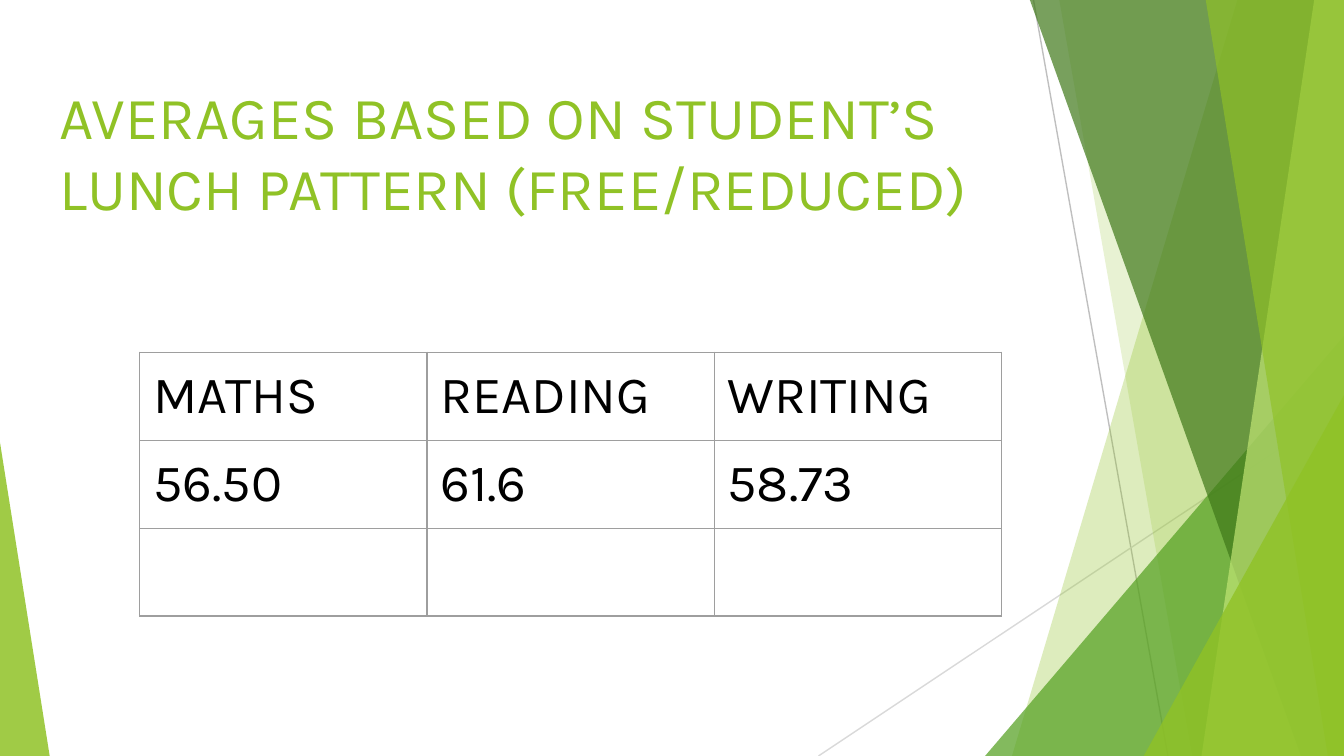
from lxml.etree import SubElement
from pptx import Presentation
from pptx.dml.color import RGBColor
from pptx.enum.shapes import MSO_CONNECTOR, MSO_SHAPE
from pptx.enum.text import MSO_ANCHOR, MSO_AUTO_SIZE, PP_ALIGN
from pptx.oxml import parse_xml
from pptx.oxml.ns import nsdecls, qn
from pptx.util import Inches, Pt

COLORS = {
    "lime": "90C226",
    "pale_lime": "C0E474",
    "green": "54A021",
    "dark_green": "3F7819",
    "gray_line": "BFBFBF",
    "light_line": "D9D9D9",
    "table_line": "9E9E9E",
    "black": "000000",
}
FONT = "Karla"
SLIDE_WIDTH = 10
SLIDE_HEIGHT = SLIDE_WIDTH * 9 / 16
BAND_TOP = -0.01
AVERAGES = [
    ["MATHS", "READING", "WRITING"],
    ["56.50", "61.6", "58.73"],
    ["", "", ""],
]


def rgb(name):
    return RGBColor.from_string(COLORS[name])


def add_text(paragraph, text, size, color):
    run = paragraph.add_run()
    run.text = text
    run.font.name = FONT
    run.font.size = Pt(size)
    run.font.color.rgb = rgb(color)


def set_margins(holder):
    holder.margin_left = holder.margin_right = Inches(0.1)
    holder.margin_top = holder.margin_bottom = Inches(0.1)


def paint(shape, color, opacity):
    """Fill a shape with a see-through colour, without outline or shadow."""
    shape.shadow.inherit = False
    shape.line.fill.background()
    shape.fill.solid()
    shape.fill.fore_color.rgb = rgb(color)
    color_element = shape.fill._xPr.find(".//" + qn("a:srgbClr"))
    SubElement(color_element, qn("a:alpha"), val=str(opacity * 1000))


def add_thin_line(slide, start, end, color):
    points = [Inches(value) for value in (*start, *end)]
    line = slide.shapes.add_connector(MSO_CONNECTOR.STRAIGHT, *points)
    line.line.color.rgb = rgb(color)
    line.line.width = Pt(0.75)
    SubElement(line._element.spPr, qn("a:effectLst"))


def add_band(slide, top_x, bottom_x, color, opacity):
    """Add a full-height band from a slanted left edge to the slide's right edge."""
    corners = [
        (SLIDE_WIDTH, BAND_TOP),
        (SLIDE_WIDTH, SLIDE_HEIGHT),
        (bottom_x, SLIDE_HEIGHT),
    ]
    builder = slide.shapes.build_freeform(Inches(top_x), Inches(BAND_TOP))
    builder.add_line_segments([(Inches(x), Inches(y)) for x, y in corners])
    paint(builder.convert_to_shape(), color, opacity)


def add_corner(slide, left, top, width, apex, color, opacity):
    """Add a triangle on the slide's bottom edge; apex is 0 (left) to 1 (right)."""
    corner = slide.shapes.add_shape(
        MSO_SHAPE.ISOSCELES_TRIANGLE,
        Inches(left), Inches(top), Inches(width), Inches(SLIDE_HEIGHT - top),
    )
    corner.adjustments[0] = apex
    paint(corner, color, opacity)


def add_decoration(slide):
    add_thin_line(slide, (7.69, 0), (8.69, SLIDE_HEIGHT), "gray_line")
    add_thin_line(slide, (SLIDE_WIDTH, 3.02), (6.09, SLIDE_HEIGHT), "light_line")
    add_band(slide, 9.21, 7.53, "lime", 30)
    add_band(slide, 7.88, 8.87, "lime", 20)
    add_corner(slide, 7.33, 2.5, 2.67, 1, "green", 72)
    add_band(slide, 7.66, 9.68, "dark_green", 70)
    add_band(slide, 9.78, 8.94, "pale_lime", 70)
    add_band(slide, 8.97, 9.88, "lime", 65)
    add_corner(slide, 8.51, 2.94, 1.49, 1, "lime", 80)
    add_corner(slide, 0, 3.29, 0.37, 0, "lime", 85)


def set_title(slide, text):
    title = slide.shapes.title
    title.left, title.top = Inches(0.34), Inches(0.49)
    title.width, title.height = Inches(7.84), Inches(1.39)
    frame = title.text_frame
    frame.word_wrap = True
    frame.auto_size = MSO_AUTO_SIZE.NONE
    frame.vertical_anchor = MSO_ANCHOR.TOP
    set_margins(frame)
    paragraph = frame.paragraphs[0]
    paragraph.alignment = PP_ALIGN.LEFT
    add_text(paragraph, text, 32, "lime")
    slide.shapes._spTree.append(title._element)  # in front of the decoration


def add_borders(cell):
    properties = cell._tc.get_or_add_tcPr()
    for position, side in enumerate(("lnL", "lnR", "lnT", "lnB")):
        border = parse_xml(
            f'<a:{side} {nsdecls("a")} w="{Pt(0.75)}"><a:solidFill>'
            f'<a:srgbClr val="{COLORS["table_line"]}"/></a:solidFill></a:{side}>'
        )
        properties.insert(position, border)


def add_averages_table(slide, rows):
    table = slide.shapes.add_table(
        len(rows), len(rows[0]),
        Inches(1.04), Inches(2.62), Inches(6.41), Inches(1.96),
    ).table
    table.first_row = table.horz_banding = False
    for row_index, row in enumerate(rows):
        for column_index, text in enumerate(row):
            cell = table.cell(row_index, column_index)
            set_margins(cell)
            cell.fill.background()
            add_borders(cell)
            if text:
                add_text(cell.text_frame.paragraphs[0], text, 28, "black")


def main():
    presentation = Presentation()
    presentation.slide_width = Inches(SLIDE_WIDTH)
    presentation.slide_height = Inches(SLIDE_HEIGHT)
    slide = presentation.slides.add_slide(presentation.slide_layouts[5])
    add_decoration(slide)
    set_title(slide, "AVERAGES BASED ON STUDENT’S LUNCH PATTERN (FREE/REDUCED)")
    add_averages_table(slide, AVERAGES)
    presentation.save("out.pptx")


if __name__ == "__main__":
    main()
